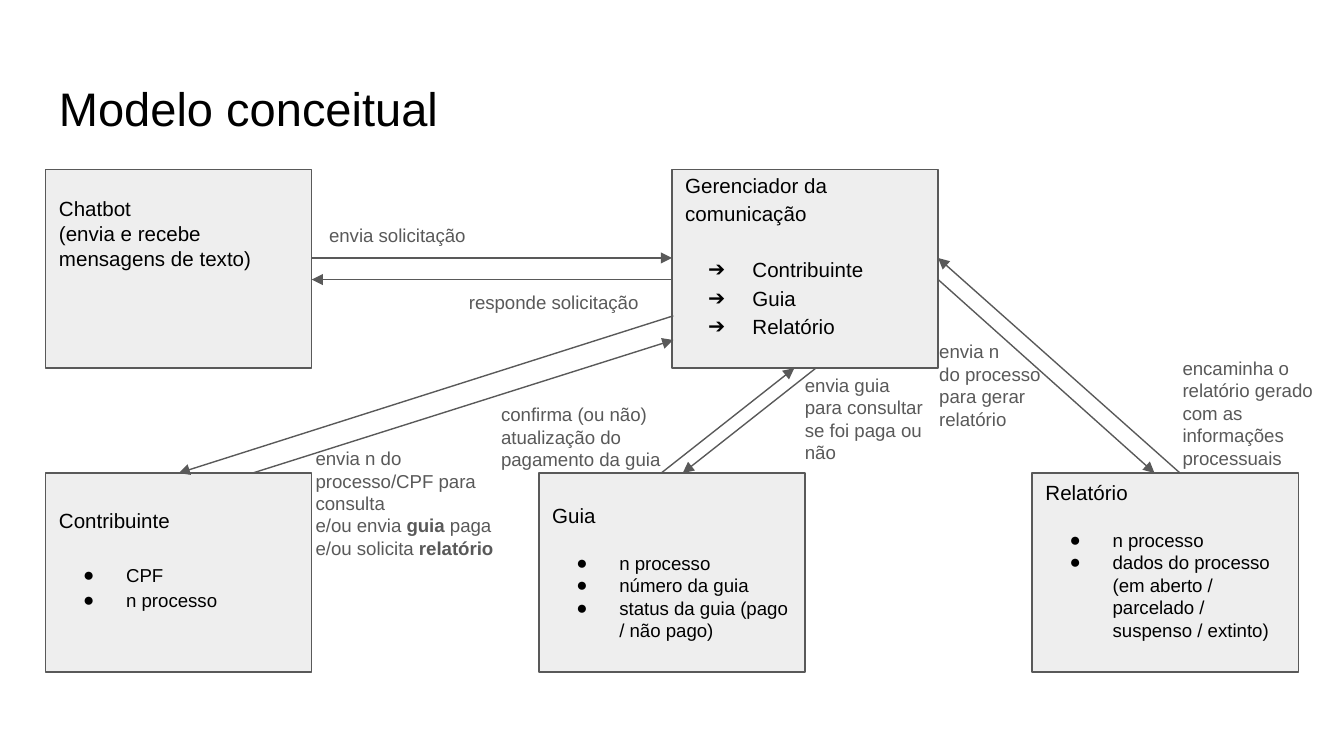
"""Builds the conceptual model slide with its boxes, arrows and labels."""
from dataclasses import dataclass

from lxml.etree import SubElement
from pptx import Presentation
from pptx.dml.color import RGBColor
from pptx.enum.shapes import MSO_CONNECTOR, MSO_SHAPE
from pptx.enum.text import MSO_ANCHOR, PP_ALIGN
from pptx.oxml.ns import qn
from pptx.util import Inches, Pt


@dataclass(frozen=True)
class Theme:
    """Colours, type sizes and line width of the slide."""
    font: str = "Arial"
    ink: str = "000000"
    gray: str = "595959"
    panel: str = "EEEEEE"
    title_size: float = 25.2
    heading_size: float = 11
    body_size: float = 10
    line_width: float = 0.75


THEME = Theme()
BOX_WIDTH, BOX_HEIGHT = 1.98, 1.48
LEFT, TOP_ROW, BOTTOM_ROW = 0.34, 1.26, 3.52

BOXES = [
    (LEFT, TOP_ROW, 0.2, 1, ["Chatbot", "(envia e recebe mensagens de texto)"],
     "", THEME.body_size, []),
    (5, TOP_ROW, 0, 1.15, ["Gerenciador da comunicação"],
     "➔", THEME.heading_size, ["Contribuinte", "Guia", "Relatório"]),
    (4.01, BOTTOM_ROW, 0.22, 1, ["Guia"], "●", THEME.body_size,
     ["n processo", "número da guia", "status da guia (pago / não pago)"]),
    (LEFT, BOTTOM_ROW, 0.23, 1.15, ["Contribuinte"],
     "●", THEME.body_size, ["CPF", "n processo"]),
    (7.68, BOTTOM_ROW, 0.05, 1, ["Relatório"], "●", THEME.body_size,
     ["n processo",
      "dados do processo (em aberto / parcelado / suspenso / extinto)"]),
]

ARROWS = [
    ((2.32, 1.92), (5, 1.92)),
    ((5, 2.08), (2.32, 2.08)),
    ((5.01, 2.35), (1.33, 3.52)),
    ((1.88, 3.52), (5.01, 2.53)),
    ((6.07, 2.74), (5.08, 3.52)),
    ((4.92, 3.52), (5.91, 2.74)),
    ((6.98, 2.08), (8.59, 3.52)),
    ((8.78, 3.52), (6.98, 1.92)),
]

LABELS = [
    (2.35, 1.55, 1.31, MSO_ANCHOR.BOTTOM, [["envia solicitação"]]),
    (3.39, 2.08, 1.6, MSO_ANCHOR.TOP, [["responde solicitação"]]),
    (6.89, 2.93, 1.04, MSO_ANCHOR.BOTTOM,
     [["envia n"], ["do processo para gerar relatório"]]),
    (8.7, 3.22, 1.31, MSO_ANCHOR.BOTTOM,
     [["encaminha o relatório gerado com as informações processuais"]]),
    (2.25, 3.89, 1.6, MSO_ANCHOR.BOTTOM,
     [["envia n do processo/CPF para consulta"],
      ["e/ou envia ", "guia", " paga"],
      ["e/ou solicita ", "relatório"]]),
    (5.89, 3.18, 1.12, MSO_ANCHOR.BOTTOM,
     [["envia guia para consultar se foi paga ou não"]]),
    (3.63, 3.23, 1.4, MSO_ANCHOR.BOTTOM,
     [["confirma (ou não) atualização do pagamento da guia"]]),
]


def prepare_frame(shape, anchor, top_inset=0.1):
    """Set wrapping, anchor and insets of a text frame and return it."""
    frame = shape.text_frame
    frame.word_wrap = True
    frame.vertical_anchor = anchor
    frame.margin_left = frame.margin_right = frame.margin_bottom = Inches(0.1)
    frame.margin_top = Inches(top_inset)
    return frame


def add_paragraph(frame, runs, size, color):
    """Add a left-aligned paragraph whose every second run is bold."""
    first = frame.paragraphs[0]
    paragraph = frame.add_paragraph() if first.runs else first
    paragraph.alignment = PP_ALIGN.LEFT
    paragraph.font.name = THEME.font
    paragraph.font.size = Pt(size)
    paragraph.font.color.rgb = RGBColor.from_string(color)
    for index, text in enumerate(runs):
        run = paragraph.add_run()
        run.text = text
        if index % 2:
            run.font.bold = True
    return paragraph


def add_bullet(paragraph, character, size):
    """Give a paragraph a hanging bullet."""
    properties = paragraph._p.get_or_add_pPr()
    hanging = 0.33 if size == THEME.heading_size else 0.32
    properties.set("marL", str(Inches(0.5)))
    properties.set("indent", str(-Inches(hanging)))
    color = SubElement(properties, qn("a:buClr"))
    SubElement(color, qn("a:srgbClr"), val=THEME.ink)
    SubElement(properties, qn("a:buSzPts"), val=str(size * 100))
    SubElement(properties, qn("a:buFont"), typeface=THEME.font)
    SubElement(properties, qn("a:buChar"), char=character)
    properties.append(properties.find(qn("a:defRPr")))


def add_box(slide, left, top, inset, spacing, heading, bullet, size, items):
    """Add a panel with heading lines and a bulleted list."""
    shape = slide.shapes.add_shape(
        MSO_SHAPE.RECTANGLE, Inches(left), Inches(top),
        Inches(BOX_WIDTH), Inches(BOX_HEIGHT))
    shape.shadow.inherit = False
    shape.fill.solid()
    shape.fill.fore_color.rgb = RGBColor.from_string(THEME.panel)
    shape.line.color.rgb = RGBColor.from_string(THEME.gray)
    shape.line.width = Pt(THEME.line_width)
    frame = prepare_frame(shape, MSO_ANCHOR.TOP, inset)
    for text in heading:
        paragraph = add_paragraph(frame, [text], THEME.heading_size, THEME.ink)
        paragraph.line_spacing = spacing
    if items:
        paragraph.space_after = Pt(13 * spacing)
    for text in items:
        paragraph = add_paragraph(frame, [text], size, THEME.ink)
        paragraph.line_spacing = spacing
        add_bullet(paragraph, bullet, size)


def add_arrow(slide, start, end):
    """Add a straight arrow that points at its end."""
    arrow = slide.shapes.add_connector(
        MSO_CONNECTOR.STRAIGHT, *map(Inches, start + end))
    arrow.line.color.rgb = RGBColor.from_string(THEME.gray)
    arrow.line.width = Pt(THEME.line_width)
    SubElement(arrow.line._get_or_add_ln(), qn("a:tailEnd"),
               type="triangle", w="med", len="med")
    SubElement(arrow._element.spPr, qn("a:effectLst"))


def add_text(slide, left, top, width, height, anchor, paragraphs, size, color):
    """Add a text box."""
    shape = slide.shapes.add_textbox(*map(Inches, (left, top, width, height)))
    frame = prepare_frame(shape, anchor)
    for runs in paragraphs:
        add_paragraph(frame, runs, size, color)


def main():
    """Build and save the slide."""
    presentation = Presentation()
    presentation.slide_width = Inches(10)
    presentation.slide_height = Inches(10) * 9 // 16
    slide = presentation.slides.add_slide(presentation.slide_layouts[6])
    add_text(slide, LEFT, 0.49, 9.32, 0.63, MSO_ANCHOR.TOP,
             [["Modelo conceitual"]], THEME.title_size, THEME.ink)
    for box in BOXES:
        add_box(slide, *box)
    for start, end in ARROWS:
        add_arrow(slide, start, end)
    for left, top, width, anchor, paragraphs in LABELS:
        add_text(slide, left, top, width, 0.37, anchor, paragraphs,
                 THEME.body_size, THEME.gray)
    presentation.save("out.pptx")


if __name__ == "__main__":
    main()
